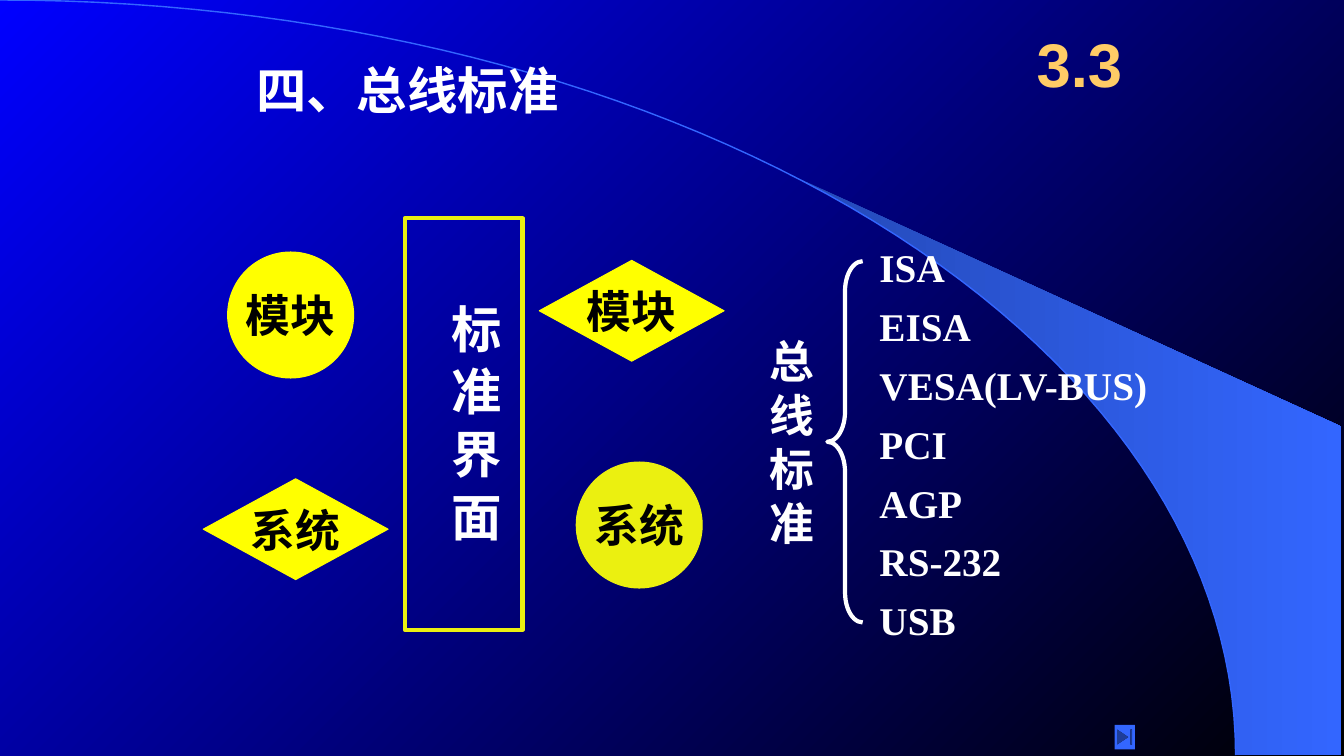
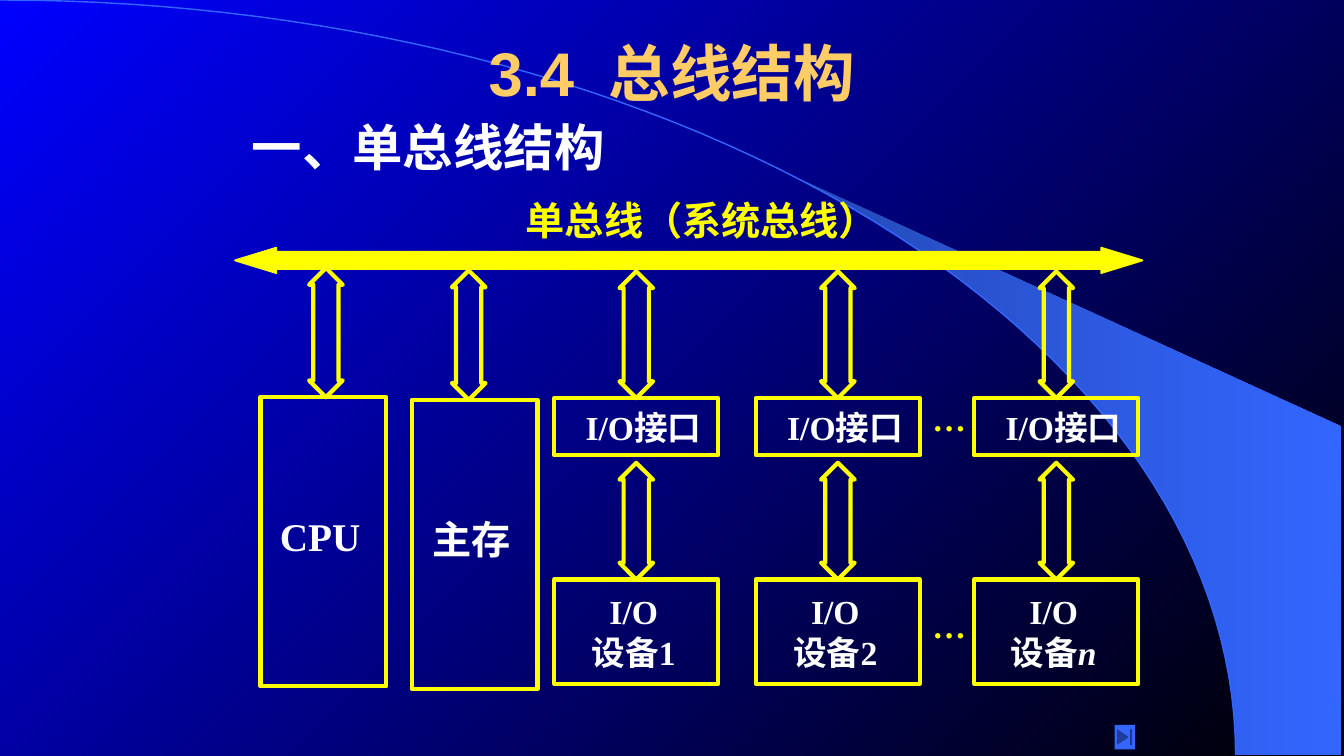
import math

from lxml import etree
from pptx import Presentation
from pptx import util as u
from pptx.dml.color import RGBColor
from pptx.enum import shapes, text
from pptx.oxml.ns import qn

COLUMNS, ROWS = 160, 90
CELL = u.Inches(7.5) / ROWS

BLUE = RGBColor(0x00, 0x00, 0xFF)
BLACK = RGBColor(0x00, 0x00, 0x00)
WHITE = RGBColor(0xFF, 0xFF, 0xFF)
SAIL_DARK = RGBColor(0x24, 0x49, 0xB6)
SAIL_LIGHT = RGBColor(0x33, 0x66, 0xFF)
GOLD = RGBColor(0xFF, 0xCC, 0x66)
YELLOW = RGBColor(0xFF, 0xFF, 0x00)
LEMON = RGBColor(0xEB, 0xF0, 0x10)

SERIF, SANS, CHINESE = "Times New Roman", "Arial", "Noto Sans CJK SC"
PRESET = shapes.MSO_SHAPE
CENTER = text.PP_ALIGN.CENTER
MIDDLE = text.MSO_ANCHOR.MIDDLE
INSETS = (1.2, 0.6, 1.2, 0.6)


def cells(*counts):
    return [u.Emu(round(count * CELL)) for count in counts]


def format_span(span, size, color, font, italic=False):
    span.font.size = u.Pt(size)
    span.font.bold = True
    span.font.italic = italic
    span.font.color.rgb = color
    span.font.name = font
    east_asian = etree.SubElement(span.font._element, qn("a:ea"))
    east_asian.set("typeface", CHINESE)


def write(box, content, size=28, color=WHITE, font=SERIF, align=text.PP_ALIGN.LEFT,
          anchor=text.MSO_ANCHOR.TOP, insets=INSETS, wrap=True, spacing=1.0,
          italic_tail="", vertical=False):
    frame = box.text_frame
    frame.word_wrap = wrap
    frame.auto_size = text.MSO_AUTO_SIZE.NONE
    frame.vertical_anchor = anchor
    (frame.margin_left, frame.margin_top,
     frame.margin_right, frame.margin_bottom) = cells(*insets)
    if vertical:
        box.element.find(".//" + qn("a:bodyPr")).set("vert", "eaVert")
    for index, line in enumerate(content.split("\n")):
        para = frame.add_paragraph() if index else frame.paragraphs[0]
        para.alignment = align
        para.line_spacing = spacing
        para.space_before = u.Pt(0)
        span = para.add_run()
        span.text = line
        format_span(span, size, color, font)
    if italic_tail:
        tail = para.add_run()
        tail.text = italic_tail
        format_span(tail, size, color, font, italic=True)


def add_text(page, place, content, **style):
    write(page.shapes.add_textbox(*cells(*place)), content, **style)


def fill_placeholder(box, place, content, **style):
    box.left, box.top, box.width, box.height = cells(*place)
    write(box, content, **style)


def add_title(page, place, content):
    fill_placeholder(page.shapes.title, place, content, size=44, color=GOLD,
                     font=SANS, align=CENTER, anchor=MIDDLE)


def add_list(page, place, items):
    box = page.placeholders[1]
    fill_placeholder(box, place, "\n".join(items), spacing=1.25)
    for para in box.text_frame.paragraphs:
        properties = para._p.get_or_add_pPr()
        properties.set("marL", "0")
        properties.set("indent", "0")
        etree.SubElement(properties, qn("a:buNone"))


def paint(shape, fill=None, line=None, width=3):
    shape.shadow.inherit = False
    if fill is None:
        shape.fill.background()
    else:
        shape.fill.solid()
        shape.fill.fore_color.rgb = fill
    if line is None:
        shape.line.fill.background()
    else:
        shape.line.color.rgb = line
        shape.line.width = u.Pt(width)
    return shape


def add_preset(page, kind, place, adjustments=(), **colors):
    shape = page.shapes.add_shape(kind, *cells(*place))
    for index, value in enumerate(adjustments):
        shape.adjustments[index] = value
    return paint(shape, **colors)


def add_frame(page, place, content, color=YELLOW, **style):
    box = add_preset(page, PRESET.RECTANGLE, place, line=color)
    write(box, content, align=CENTER, anchor=MIDDLE, **style)


def add_badge(page, kind, place, content, color=YELLOW):
    badge = add_preset(page, kind, place, fill=color, line=color, width=0.75)
    write(badge, content, size=32, color=BLACK, align=CENTER, anchor=MIDDLE,
          insets=(0, 0, 0, 0), wrap=False)


def add_link(page, center, top, bottom):
    width, head = 4, 3
    add_preset(page, PRESET.UP_DOWN_ARROW,
               (center - width / 2, top, width, bottom - top),
               adjustments=(0.5, head / width), line=YELLOW)


def blend(fill, first, last, angle):
    fill.gradient()
    fill.gradient_angle = angle
    for stop, color in zip(fill.gradient_stops, (first, last)):
        stop.color.rgb = color


def arc_points(start, radius_x=147.1, radius_y=89.9, steps=60):
    angles = [start + (math.pi / 2 - start) * step / steps for step in range(steps + 1)]
    return [(radius_x * math.sin(angle), radius_y * (1 - math.cos(angle)))
            for angle in angles]


def add_outline(page, points, close):
    corners = [cells(*point) for point in points]
    builder = page.shapes.build_freeform(*corners[0], scale=1.0)
    builder.add_line_segments(corners[1:], close=close)
    return builder.convert_to_shape()


def decorate_master(deck, page):
    master = deck.slide_master
    blend(master.background.fill, BLUE, BLACK, 315)
    sail_points = arc_points(math.asin(94.3 / 147.1)) + [(159.7, 89.9), (159.7, 50.8)]
    sail = paint(add_outline(page, sail_points, close=True))
    blend(sail.fill, SAIL_DARK, SAIL_LIGHT, 0)
    arc = paint(add_outline(page, arc_points(0), close=False), line=SAIL_LIGHT, width=1)
    button = add_preset(page, PRESET.ACTION_BUTTON_END, (132.7, 86.3, 2.4, 2.9),
                        fill=SAIL_LIGHT)
    for number, shape in enumerate((sail, arc, button), 101):
        shape.element.nvSpPr.cNvPr.set("id", str(number))
        master.shapes.element.append(shape.element)


def build_standards(page):
    add_title(page, (121, 2, 15, 11), "3.3")
    add_text(page, (29.3, 6.4, 66, 8.4), "四、总线标准", size=36)
    add_list(page, (103.5, 27, 42, 50),
             ["ISA", "EISA", "VESA(LV-BUS)", "PCI", "AGP", "RS-232", "USB"])
    add_badge(page, PRESET.OVAL, (27.1, 30, 15, 15), "模块")
    add_badge(page, PRESET.DIAMOND, (64.2, 31, 22, 12), "模块")
    add_badge(page, PRESET.DIAMOND, (24.2, 57, 22, 12), "系统")
    add_badge(page, PRESET.OVAL, (68.6, 55, 15, 15), "系统", color=LEMON)
    add_preset(page, PRESET.RECTANGLE, (48.2, 26, 14, 49), line=LEMON)
    add_text(page, (51, 35, 9.7, 42), "标 准 界 面", size=36, vertical=True)
    add_text(page, (90.4, 39.2, 7.1, 27.1), "总\n线\n标\n准", size=32)
    add_preset(page, PRESET.LEFT_BRACE, (98.5, 31.1, 4.2, 43),
               adjustments=(0.85, 0.5), line=WHITE)


def build_single_bus(page):
    add_title(page, (29, 1, 102, 15), "3.4  总线结构")
    add_text(page, (28.8, 13.2, 66, 8.4), "一、单总线结构", size=36)
    add_text(page, (62.6, 23.4, 42.2, 5.6), "单总线（系统总线）", color=YELLOW,
             font=CHINESE, insets=(0, 0, 0, 0), wrap=False)
    add_preset(page, PRESET.LEFT_RIGHT_ARROW, (28, 29.5, 108, 3),
               adjustments=(0.68, 1.63), fill=YELLOW, line=YELLOW, width=1.38)

    for left, center, top, name in ((31, 38.8, 47.3, "CPU"), (49, 55.8, 47.6, "主存")):
        add_frame(page, (left, top, 15, 34.4), name, insets=(0, 0, 0.8, 1.4))
        add_link(page, center, top - 15.4, top)

    port_top, port_bottom, device_top = 47.4, 54.2, 69
    for left, number, letter in ((66, "1", ""), (90, "2", ""), (116, "", "n")):
        center = left + 9.75
        add_frame(page, (left, port_top, 19.5, port_bottom - port_top), "I/O接口",
                  size=24, insets=(1.7, 0, 0, 0), wrap=False)
        add_frame(page, (left, device_top, 19.5, 12.4), "I/O\n设备" + number, size=24,
                  insets=(0, 0, 0.6, 0), italic_tail=letter)
        add_link(page, center, 32.3, port_top)
        add_link(page, center, port_bottom + 0.9, device_top)

    for top in (port_top, 72):
        add_text(page, (111, top, 5, 4.8), "…", size=24, color=YELLOW,
                 insets=(0, 0, 0, 0))


def main():
    deck = Presentation()
    deck.slide_width, deck.slide_height = cells(COLUMNS, ROWS)
    standards = deck.slides.add_slide(deck.slide_layouts[1])
    single_bus = deck.slides.add_slide(deck.slide_layouts[5])
    decorate_master(deck, standards)
    build_standards(standards)
    build_single_bus(single_bus)
    deck.save("out.pptx")


if __name__ == "__main__":
    main()
